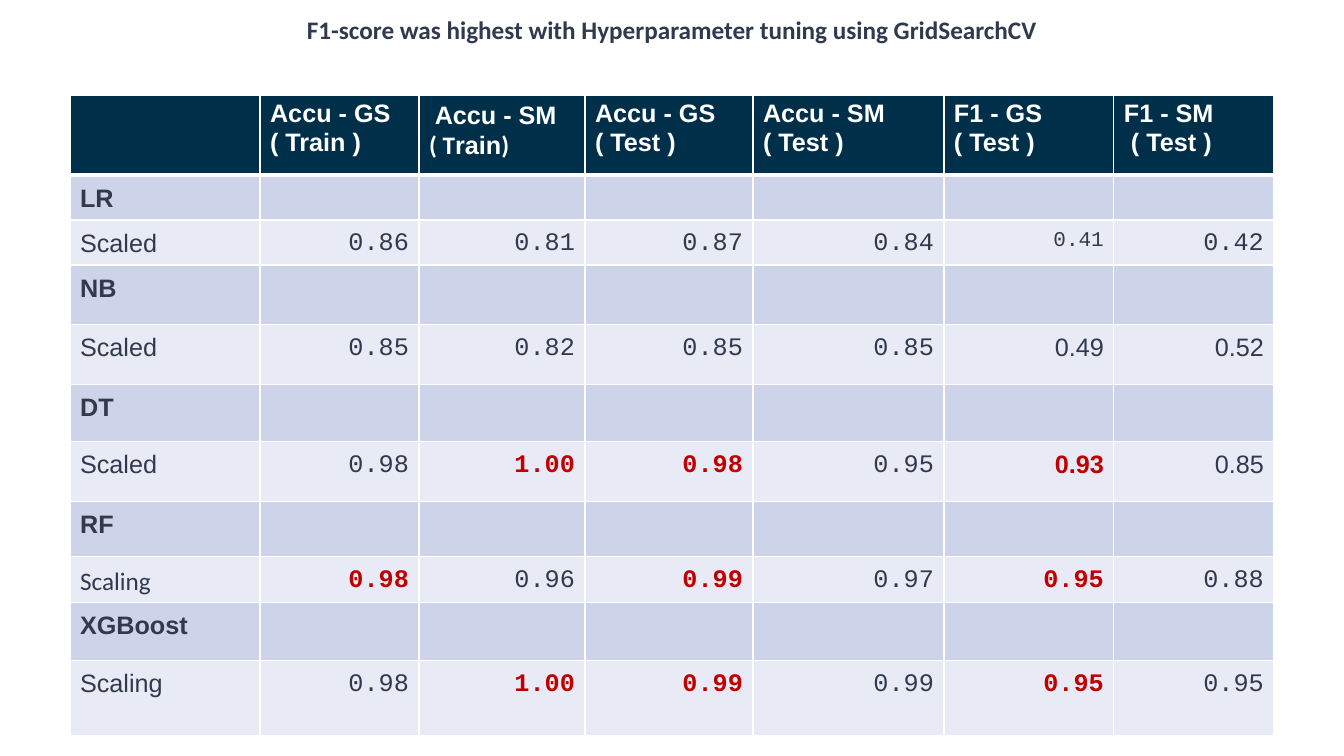
from lxml.etree import SubElement as Sub
from pptx import Presentation
from pptx.dml.color import RGBColor as Rgb
from pptx.enum.text import MSO_ANCHOR as Anchor, PP_ALIGN as Align
from pptx.oxml.ns import qn
from pptx.util import Pt

PX = 9071  # EMU in one px
INK, RED, WHITE, NAVY = "31394D", "C00000", "FFFFFF", "002F4A"
DARK, LIGHT = "CDD4EA", "E8EBF5"
SANS, HEAD, MONO = "Arial", "Calibri", "Courier New"

COLS = [190, 159, 166, 168, 191, 170, 160]
ROWS = [80, 45, 45, 60, 60, 57, 60, 55, 46, 58, 75]

# Header cells: lines made of (text, font) runs
TITLES = [
    [[("Accu - GS", SANS)], [("( Train )", SANS)]],
    [[(" ", HEAD), ("Accu - SM", SANS)],
     [("( T", HEAD), ("rain", SANS), (")", HEAD)]],
    [[("Accu - GS", SANS)], [("( Test )", SANS)]],
    [[("Accu - SM", SANS)], [("( Test )", SANS)]],
    [[("F1 - GS", SANS)], [("( Test )", SANS)]],
    [[("F1 - SM", SANS)], [(" ( Test )", SANS)]],
]

# Model, label, label font, F1 font, F1 GS size, scores (* marks the best)
MODELS = [
    ("LR", "Scaled", SANS, MONO, 15, "0.86 0.81 0.87 0.84 0.41 0.42"),
    ("NB", "Scaled", SANS, SANS, 18, "0.85 0.82 0.85 0.85 0.49 0.52"),
    ("DT", "Scaled", SANS, SANS, 18, "0.98 1.00* 0.98* 0.95 0.93* 0.85"),
    ("RF", "Scaling", HEAD, MONO, 18, "0.98* 0.96 0.99* 0.97 0.95* 0.88"),
    ("XGBoost", "Scaling", SANS, MONO, 18, "0.98 1.00* 0.99* 0.99 0.95* 0.95"),
]


def px(n):
    return n * PX


def tint(code):
    return Rgb.from_string(code)


def add_run(para, text, color=INK, **form):
    run = para.add_run()
    run.text = text
    look = {"size": Pt(18), "name": SANS, "bold": False} | form
    for key, value in look.items():
        setattr(run.font, key, value)
    run.font.color.rgb = tint(color)


def add_title(slide, text):
    title = slide.shapes.title
    box = {"left": px(69), "top": 0, "width": px(1206), "height": px(62)}
    for key, value in box.items():
        setattr(title, key, value)
    frame = title.text_frame
    frame.word_wrap = True
    frame.vertical_anchor = Anchor.MIDDLE
    para = frame.paragraphs[0]
    para.alignment = Align.CENTER
    para.line_spacing = 0.9
    add_run(para, text, name=HEAD, bold=True)


def style_cell(cell, fill, top, base):
    props = cell._tc.get_or_add_tcPr()
    for side, width in {"L": 1, "R": 1, "T": top, "B": base}.items():
        line = Sub(props, qn("a:ln" + side), w=str(Pt(width)))
        solid = Sub(line, qn("a:solidFill"))
        Sub(solid, qn("a:srgbClr"), val=WHITE)
    cell.fill.solid()
    cell.fill.fore_color.rgb = tint(fill)


def fill_head(cell, lines):
    frame = cell.text_frame
    for i, runs in enumerate(lines):
        para = frame.add_paragraph() if i else frame.paragraphs[0]
        for text, font in runs:
            add_run(para, text, WHITE, name=font, bold=True)


def fill_cell(cell, text, align=Align.LEFT, **form):
    para = cell.text_frame.paragraphs[0]
    para.alignment = align
    para.line_spacing = 1.15
    add_run(para, text, **form)


def add_grid(slide):
    frame = slide.shapes.add_table(len(ROWS), len(COLS), px(70), px(95),
                                   px(sum(COLS)), px(sum(ROWS)))
    grid = frame.table
    for col, width in zip(grid.columns, COLS):
        col.width = px(width)
    for row, height in zip(grid.rows, ROWS):
        row.height = px(height)

    # Fills and borders, with a thick rule under the header
    for r in range(len(ROWS)):
        fill = NAVY if r == 0 else DARK if r % 2 else LIGHT
        for c in range(len(COLS)):
            style_cell(grid.cell(r, c), fill,
                       3 if r == 1 else 1, 3 if r == 0 else 1)
    return grid


def add_scores(grid):
    for c, lines in enumerate(TITLES, 1):
        fill_head(grid.cell(0, c), lines)

    # Each model takes a name row and a score row
    for i, (model, label, face, f1_font, size, scores) in enumerate(MODELS):
        r = 2 * i + 1
        fill_cell(grid.cell(r, 0), model, bold=True)
        fill_cell(grid.cell(r + 1, 0), label, name=face)
        for c, score in enumerate(scores.split(), 1):
            best = score.endswith("*")
            fill_cell(grid.cell(r + 1, c), score.rstrip("*"), Align.RIGHT,
                      color=RED if best else INK, bold=best,
                      name=f1_font if c > 4 else MONO,
                      size=Pt(size if c == 5 else 18))


def main():
    deck = Presentation()
    deck.slide_width, deck.slide_height = px(1344), px(756)
    slide = deck.slides.add_slide(deck.slide_layouts[5])
    add_title(slide, "F1-score was highest with Hyperparameter tuning "
                     "using GridSearchCV")
    add_scores(add_grid(slide))
    deck.save("out.pptx")


if __name__ == "__main__":
    main()
